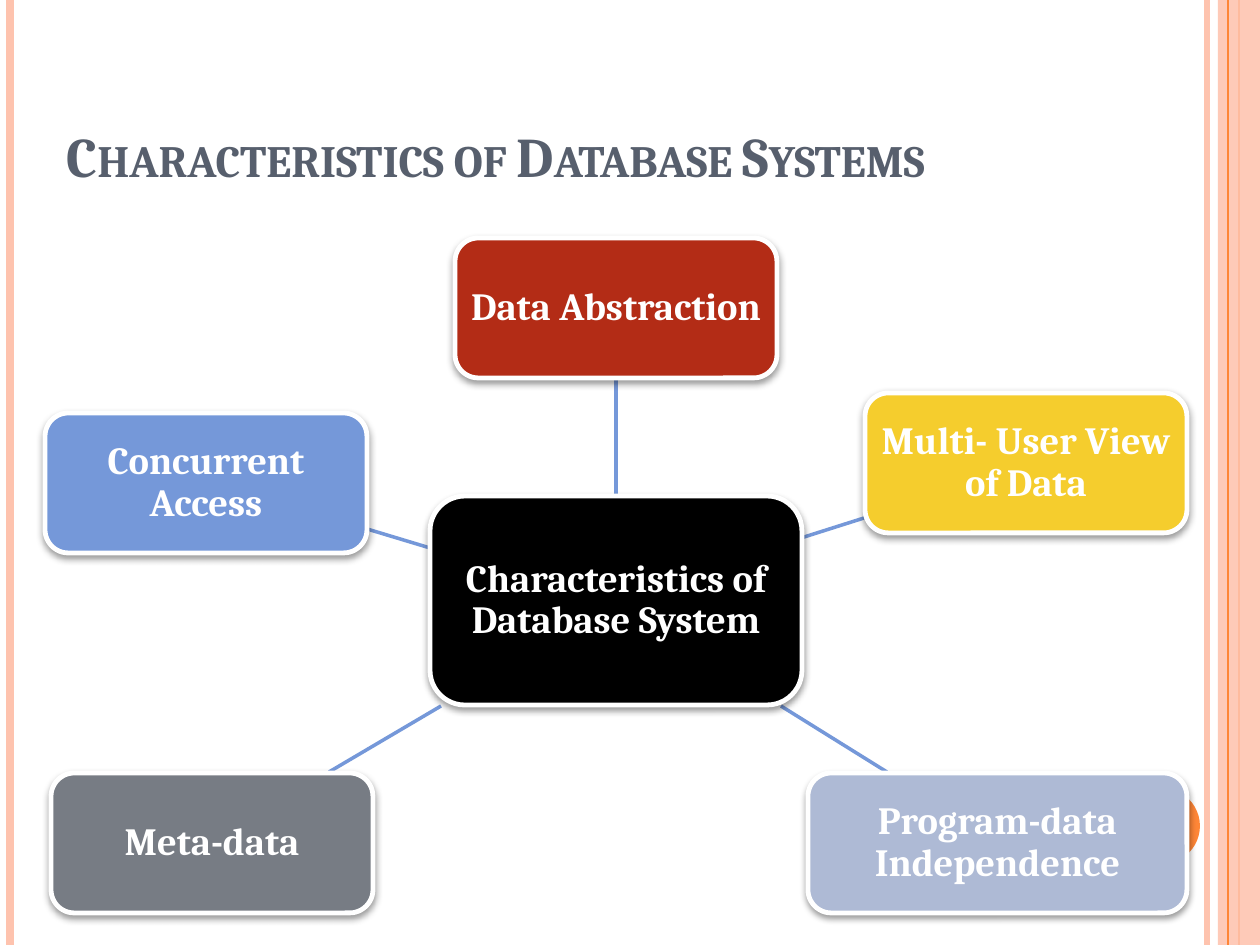
from lxml.etree import SubElement
from pptx import Presentation
from pptx.dml.color import RGBColor
from pptx.enum.shapes import MSO_CONNECTOR, MSO_SHAPE
from pptx.enum.text import MSO_ANCHOR, PP_ALIGN
from pptx.oxml import parse_xml
from pptx.oxml.ns import nsdecls, qn
from pptx.util import Emu, Pt

PEACH = RGBColor(0xFE, 0xC3, 0xAE)
ORANGE = RGBColor(0xFE, 0x86, 0x37)
SLATE = RGBColor(0x57, 0x5F, 0x6D)
BLACK = RGBColor(0x00, 0x00, 0x00)
WHITE = RGBColor(0xFF, 0xFF, 0xFF)
RED = RGBColor(0xB3, 0x2C, 0x16)
YELLOW = RGBColor(0xF5, 0xCD, 0x2D)
LILAC = RGBColor(0xAE, 0xBA, 0xD5)
GREY = RGBColor(0x77, 0x7C, 0x84)
BLUE = RGBColor(0x75, 0x98, 0xD9)
FONT = "Cambria"
SHADOW = (
    f'<a:effectLst {nsdecls("a")}>'
    '<a:outerShdw blurRad="50800" dist="25400" dir="5400000" rotWithShape="0">'
    '<a:srgbClr val="000000"><a:alpha val="40000"/></a:srgbClr>'
    '</a:outerShdw></a:effectLst>'
)


def px(n):
    return Emu(round(n * 914400 / 126))


def draw_line(ends, color, width):
    line = slide.shapes.add_connector(MSO_CONNECTOR.STRAIGHT, *map(px, ends))
    line.line.color.rgb = color
    line.line.width = Pt(width)
    SubElement(line._element.spPr, qn("a:effectLst"))
    return line


deck = Presentation()
deck.slide_width, deck.slide_height = px(1260), px(945)
slide = deck.slides.add_slide(deck.slide_layouts[6])

# Side stripes
for x, color, width in [(1207, PEACH, 3), (10, PEACH, 4.5), (1239, ORANGE, 1.5)]:
    draw_line((x, 0, x, 945), color, width)
band = slide.shapes.add_shape(MSO_SHAPE.RECTANGLE, px(1218), 0, px(42), px(945))
band.shadow.inherit = False
band.fill.solid()
band.fill.fore_color.rgb = PEACH
band.line.fill.background()
tint = band._element.spPr.find(qn("a:solidFill"))[0]
SubElement(tint, qn("a:alpha")).set("val", "87000")
draw_line((1228, 0, 1228, 945), ORANGE, 0.75)

# Page dot
dot = slide.shapes.add_shape(MSO_SHAPE.OVAL, px(1124), px(788), px(76), px(76))
dot.shadow.inherit = False
dot.fill.solid()
dot.fill.fore_color.rgb = ORANGE
dot.line.fill.background()

# Title
title = slide.shapes.add_textbox(px(54), px(38), px(1092), px(157))
frame = title.text_frame
frame.word_wrap = True
frame.vertical_anchor = MSO_ANCHOR.BOTTOM
para = frame.paragraphs[0]
run = para.add_run()
run.text = "Characteristics of Database Systems"
run._r.get_or_add_rPr().set("cap", "small")
para.font.name, para.font.size, para.font.bold = FONT, Pt(32), True
para.font.color.rgb = SLATE

# Spokes from the centre
for ends in [
    (616, 496, 616, 378),
    (801, 538, 864, 518),
    (781, 706, 887, 772),
    (441, 706, 329, 772),
    (430, 548, 367, 529),
]:
    draw_line(ends, BLUE, 2)

# Centre box and its five traits
for text, color, x, y, w, h in [
    ("Characteristics of Database System", BLACK, 430, 496, 372, 209),
    ("Data Abstraction", RED, 455, 238, 322, 140),
    ("Multi- User View of Data", YELLOW, 865, 393, 322, 140),
    ("Program-data Independence", LILAC, 808, 773, 379, 140),
    ("Meta-data", GREY, 51, 773, 322, 140),
    ("Concurrent Access", BLUE, 45, 413, 322, 140),
]:
    box = slide.shapes.add_shape(
        MSO_SHAPE.ROUNDED_RECTANGLE, px(x), px(y), px(w), px(h))
    box.fill.solid()
    box.fill.fore_color.rgb = color
    box.line.color.rgb = WHITE
    box.line.width = Pt(2.75)
    box._element.spPr.append(parse_xml(SHADOW))
    frame = box.text_frame
    frame.word_wrap = True
    frame.vertical_anchor = MSO_ANCHOR.MIDDLE
    frame.margin_left = frame.margin_right = px(8)
    frame.margin_top = frame.margin_bottom = px(8)
    para = frame.paragraphs[0]
    para.text = text
    para.alignment = PP_ALIGN.CENTER
    para.line_spacing = 0.9
    para.font.name, para.font.size, para.font.bold = FONT, Pt(22), True
    para.font.color.rgb = WHITE

deck.save("out.pptx")
